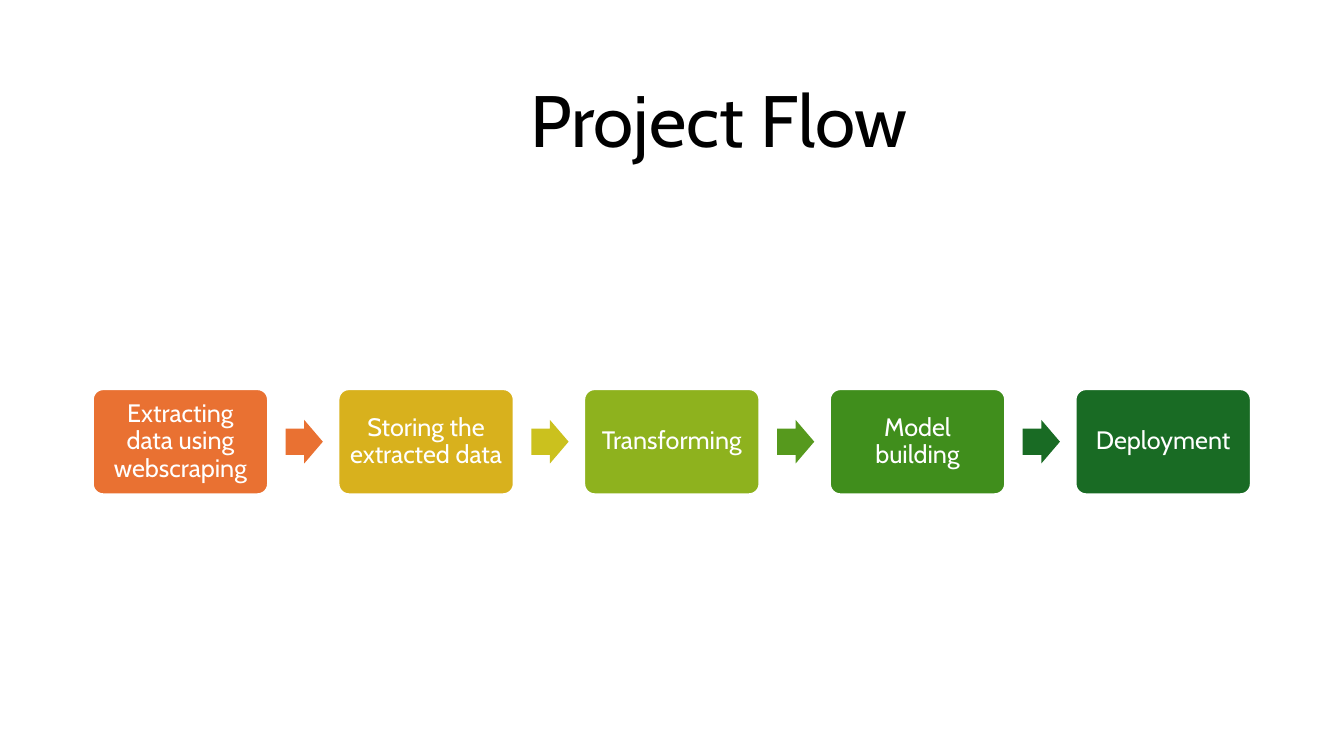
from dataclasses import dataclass

from pptx import Presentation
from pptx.dml.color import RGBColor as RGB
from pptx.enum.shapes import MSO_SHAPE as Shape
from pptx.enum.text import MSO_ANCHOR as Anchor, PP_ALIGN as Align
from pptx.shapes.autoshape import Shape as AutoShape
from pptx.slide import Slide
from pptx.util import Pt


@dataclass(frozen=True)
class Theme:
    font: str = "Cabin"
    title_size: float = 52
    step_size: float = 18
    title_color: str = "000000"
    step_color: str = "FFFFFF"
    outline: str = "FFFFFF"


@dataclass(frozen=True)
class Box:
    left: float
    top: float
    width: float
    height: float


@dataclass(frozen=True)
class Step:
    label: str
    fill: str
    arrow_fill: str | None = None  # the last step leads nowhere


THEME = Theme()
TITLE = Box(66.25, 43.9, 895, 89.3)
STEPS = [
    Step("Extracting data using webscraping", "E97132", "E97132"),
    Step("Storing the extracted data", "D8B11D", "CBC11E"),
    Step("Transforming", "8EB21E", "56991D"),
    Step("Model building", "408E1C", "196B24"),
    Step("Deployment", "196B24"),
]

# Flow geometry, in points
FLOW_LEFT, FLOW_MIDDLE, PITCH = 66.25, 315.5, 175.5
STEP_W, STEP_H = 125.3, 75.2
ARROW_W, ARROW_H, ARROW_GAP = 26.6, 31.1, 12.5


def write_text(sp: AutoShape, text: str, size: float, color: str, inset: float) -> None:
    tf = sp.text_frame
    frame_format = {
        "word_wrap": True,
        "vertical_anchor": Anchor.MIDDLE,
        **{f"margin_{side}": Pt(inset) for side in ("left", "top", "right", "bottom")},
    }
    for name, value in frame_format.items():
        setattr(tf, name, value)
    p = tf.paragraphs[0]
    p.alignment, p.line_spacing = Align.CENTER, 0.9
    r = p.add_run()
    r.text = text
    for name, value in {"name": THEME.font, "size": Pt(size)}.items():
        setattr(r.font, name, value)
    r.font.color.rgb = RGB.from_string(color)


def add_filled(s: Slide, kind: Shape, box: Box, fill: str, adjustments: list[float]) -> AutoShape:
    sp = s.shapes.add_shape(kind, Pt(box.left), Pt(box.top), Pt(box.width), Pt(box.height))
    sp.shadow.inherit = False
    sp.fill.solid()
    sp.fill.fore_color.rgb = RGB.from_string(fill)
    sp.line.fill.background()
    for i, value in enumerate(adjustments):
        sp.adjustments[i] = value
    return sp


def add_title(s: Slide, text: str) -> None:
    sp = s.shapes.add_textbox(Pt(TITLE.left), Pt(TITLE.top), Pt(TITLE.width), Pt(TITLE.height))
    write_text(sp, text, THEME.title_size, THEME.title_color, 3.6)


def add_step(s: Slide, step: Step, left: float) -> None:
    # Rounded step box with its label
    box = Box(left, FLOW_MIDDLE - STEP_H / 2, STEP_W, STEP_H)
    sp = add_filled(s, Shape.ROUNDED_RECTANGLE, box, step.fill, [0.1])
    sp.line.color.rgb = RGB.from_string(THEME.outline)
    sp.line.width = Pt(1.5)
    write_text(sp, step.label, THEME.step_size, THEME.step_color, 4.8)

    # Block arrow to the next step
    if step.arrow_fill:
        arrow = Box(left + STEP_W + ARROW_GAP, FLOW_MIDDLE - ARROW_H / 2, ARROW_W, ARROW_H)
        add_filled(s, Shape.RIGHT_ARROW, arrow, step.arrow_fill, [0.6, 0.5])


def main() -> None:
    prs = Presentation()
    prs.slide_width, prs.slide_height = Pt(960), Pt(540)
    s = prs.slides.add_slide(prs.slide_layouts[6])
    add_title(s, "Project Flow")
    for i, step in enumerate(STEPS):
        add_step(s, step, FLOW_LEFT + i * PITCH)
    prs.save("out.pptx")


if __name__ == "__main__":
    main()
